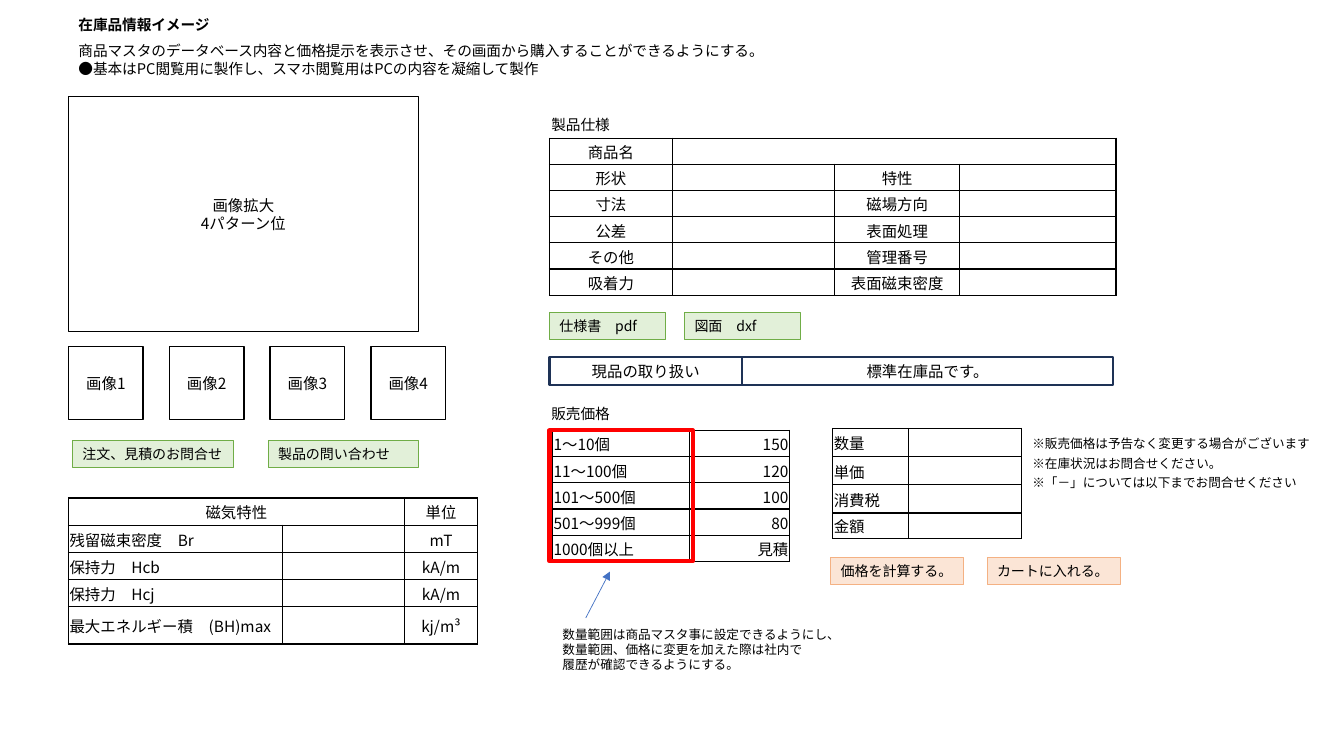
"""Build the stock item information mock-up slide."""
import pptx
import pptx.util
import pptx.dml.color
import pptx.enum.shapes
import pptx.enum.text
import pptx.oxml.ns
import lxml.etree

PX = 9144
FONT = "Noto Sans CJK JP"
BLACK, WHITE = "000000", "FFFFFF"
GREEN = ("E2F0D9", "70AD47")
ORANGE = ("FBE5D6", "F4B183")
NAVY = "1E3256"
ALIGN = {
    "l": pptx.enum.text.PP_ALIGN.LEFT,
    "c": pptx.enum.text.PP_ALIGN.CENTER,
    "r": pptx.enum.text.PP_ALIGN.RIGHT,
}

LABELS = [
    (68, 11, 153, 28, "在庫品情報イメージ", {"size": 10.5, "bold": True}),
    (68, 37, 712, 45, "商品マスタのデータベース内容と価格提示を表示させ、その画面から購入することができるようにする。\n"
     "●基本はPC閲覧用に製作し、スマホ閲覧用はPCの内容を凝縮して製作", {"size": 10.5}),
    (537, 110, 142, 28, "製品仕様", {"size": 10.5}),
    (537, 397, 142, 28, "販売価格", {"size": 10.5}),
    (1014, 427, 308, 25, "※販売価格は予告なく変更する場合がございます", {"size": 9}),
    (1014, 447, 245, 25, "※在庫状況はお問合せください。", {"size": 9}),
    (1014, 466, 285, 25, "※「－」については以下までお問合せください", {"size": 9}),
    (548, 617, 298, 56, "数量範囲は商品マスタ事に設定できるようにし、\n"
     "数量範囲、価格に変更を加えた際は社内で\n履歴が確認できるようにする。", {"size": 9}),
]
MAIN_IMAGE = (68, 96, 347, 233, "画像拡大\n4パターン位")
THUMBS = ["画像1", "画像2", "画像3", "画像4"]
THUMB_LEFT, THUMB_TOP, THUMB_W, THUMB_H, THUMB_STEP = 68, 344, 74, 72, 100
STOCK_STATUS = [(545, 354, 191, 28, "現品の取り扱い"), (736, 354, 368, 28, "標準在庫品です。")]
BUTTONS = [
    (72, 437, 160, "注文、見積のお問合せ", GREEN),
    (266, 437, 149, "製品の問い合わせ", GREEN),
    (545, 310, 115, "仕様書　pdf", GREEN),
    (679, 310, 115, "図面　dxf", GREEN),
    (824, 553, 132, "価格を計算する。", ORANGE),
    (979, 553, 132, "カートに入れる。", ORANGE),
]
BUTTON_H = 27
PRICE_FRAME = (545, 427, 142, 130)
NOTE_ARROW = (581, 613, 605, 567)

TABLES = [
    {"at": (545, 137), "cols": [122, 161, 124, 155], "rows": [26] * 6, "align": "cccc",
     "merge": ((0, 1), (0, 3)),
     "cells": [["商品名", "", "", ""], ["形状", "", "特性", ""], ["寸法", "", "磁場方向", ""],
               ["公差", "", "表面処理", ""], ["その他", "", "管理番号", ""],
               ["吸着力", "", "表面磁束密度", ""]]},
    {"at": (68, 494), "cols": [212, 121, 73], "rows": [27, 27, 27, 27, 37], "align": "lcc",
     "merge": ((0, 0), (0, 1)),
     "cells": [["磁気特性", "", "単位"], ["残留磁束密度　Br", "", "mT"], ["保持力　Hcb", "", "kA/m"],
               ["保持力　Hcj", "", "kA/m"], ["最大エネルギー積　(BH)max", "", "kj/m³"]]},
    {"at": (548, 427), "cols": [136, 99], "rows": [26] * 5, "align": "lr", "merge": None,
     "cells": [["1～10個", "150"], ["11～100個", "120"], ["101～500個", "100"],
               ["501～999個", "80"], ["1000個以上", "見積"]]},
    {"at": (826, 425), "cols": [75, 112], "rows": [28, 28, 28, 25], "align": "ll", "merge": None,
     "cells": [["数量", ""], ["単価", ""], ["消費税", ""], ["金額", ""]]},
]


def px(*lengths):
    return [pptx.util.Emu(n * PX) for n in lengths]


def rgb(value):
    return pptx.dml.color.RGBColor.from_string(value)


def sub(parent, tag, **attrs):
    return lxml.etree.SubElement(parent, pptx.oxml.ns.qn(tag), attrs)


def write(tf, text, size=11, align="l", bold=False, color=BLACK):
    for i, line in enumerate(text.split("\n")):
        p = tf.paragraphs[0] if i == 0 else tf.add_paragraph()
        p.alignment = ALIGN[align]
        if not line:
            sub(p._p, "a:endParaRPr", sz=str(int(size * 100)))
            continue
        r = p.add_run()
        r.text = line
        r.font.size = pptx.util.Pt(size)
        r.font.bold = bold
        r.font.color.rgb = rgb(color)
        r.font.name = FONT
        sub(r.font._element, "a:ea", typeface=FONT)


def add_label(slide, left, top, width, height, text, style):
    tf = slide.shapes.add_textbox(*px(left, top, width, height)).text_frame
    tf.word_wrap = False
    tf.auto_size = pptx.enum.text.MSO_AUTO_SIZE.SHAPE_TO_FIT_TEXT
    write(tf, text, **style)


def add_box(slide, box, text="", fill=WHITE, line=BLACK, weight=1, **style):
    sp = slide.shapes.add_shape(pptx.enum.shapes.MSO_SHAPE.RECTANGLE, *px(*box))
    sp.shadow.inherit = False
    if fill:
        sp.fill.solid()
        sp.fill.fore_color.rgb = rgb(fill)
    else:
        sp.fill.background()
    sp.line.color.rgb = rgb(line)
    sp.line.width = pptx.util.Pt(weight)
    if text:
        sp.text_frame.word_wrap = True
        sp.text_frame.vertical_anchor = pptx.enum.text.MSO_ANCHOR.MIDDLE
        write(sp.text_frame, text, **style)


def format_cell(cell):
    cell.margin_left, cell.margin_right, cell.margin_top, cell.margin_bottom = px(1, 1, 1, 0)
    cell.vertical_anchor = pptx.enum.text.MSO_ANCHOR.MIDDLE
    tcPr = cell._tc.get_or_add_tcPr()
    for side in ("a:lnL", "a:lnR", "a:lnT", "a:lnB"):
        ln = sub(tcPr, side, w=str(pptx.util.Pt(1)))
        sub(sub(ln, "a:solidFill"), "a:srgbClr", val=BLACK)
    cell.fill.background()


def add_grid(slide, spec):
    cols, rows = spec["cols"], spec["rows"]
    size = px(*spec["at"], sum(cols), sum(rows))
    table = slide.shapes.add_table(len(rows), len(cols), *size).table
    table.first_row = table.horz_banding = False
    for column, width in zip(table.columns, px(*cols)):
        column.width = width
    for row, height in zip(table.rows, px(*rows)):
        row.height = height
    if spec["merge"]:
        first, last = spec["merge"]
        table.cell(*first).merge(table.cell(*last))
    for i, texts in enumerate(spec["cells"]):
        for j, text in enumerate(texts):
            cell = table.cell(i, j)
            format_cell(cell)
            merged = cell.is_merge_origin
            write(cell.text_frame, text, align="c" if merged else spec["align"][j])


def add_arrow(slide, ends):
    line = slide.shapes.add_connector(pptx.enum.shapes.MSO_CONNECTOR.STRAIGHT, *px(*ends))
    line.line.color.rgb = rgb("4472C4")
    line.line.width = pptx.util.Pt(0.5)
    sub(line.line._get_or_add_ln(), "a:tailEnd", type="triangle")
    sub(line._element.spPr, "a:effectLst")


def main():
    prs = pptx.Presentation()
    prs.slide_width, prs.slide_height = px(1333, 750)
    slide = prs.slides.add_slide(prs.slide_layouts[6])
    add_box(slide, MAIN_IMAGE[:4], MAIN_IMAGE[4], align="c")
    for i, name in enumerate(THUMBS):
        box = (THUMB_LEFT + i * THUMB_STEP, THUMB_TOP, THUMB_W, THUMB_H)
        add_box(slide, box, name, align="c")
    for *box, text in STOCK_STATUS:
        add_box(slide, box, text, line=NAVY, weight=1.5, align="c")
    for left, top, width, text, (fill, line) in BUTTONS:
        add_box(slide, (left, top, width, BUTTON_H), text, fill, line, 0.75, size=10)
    for spec in TABLES:
        add_grid(slide, spec)
    for label in LABELS:
        add_label(slide, *label)
    add_arrow(slide, NOTE_ARROW)
    add_box(slide, PRICE_FRAME, fill=None, line="FF0000", weight=3)
    prs.save("out.pptx")


if __name__ == "__main__":
    main()
